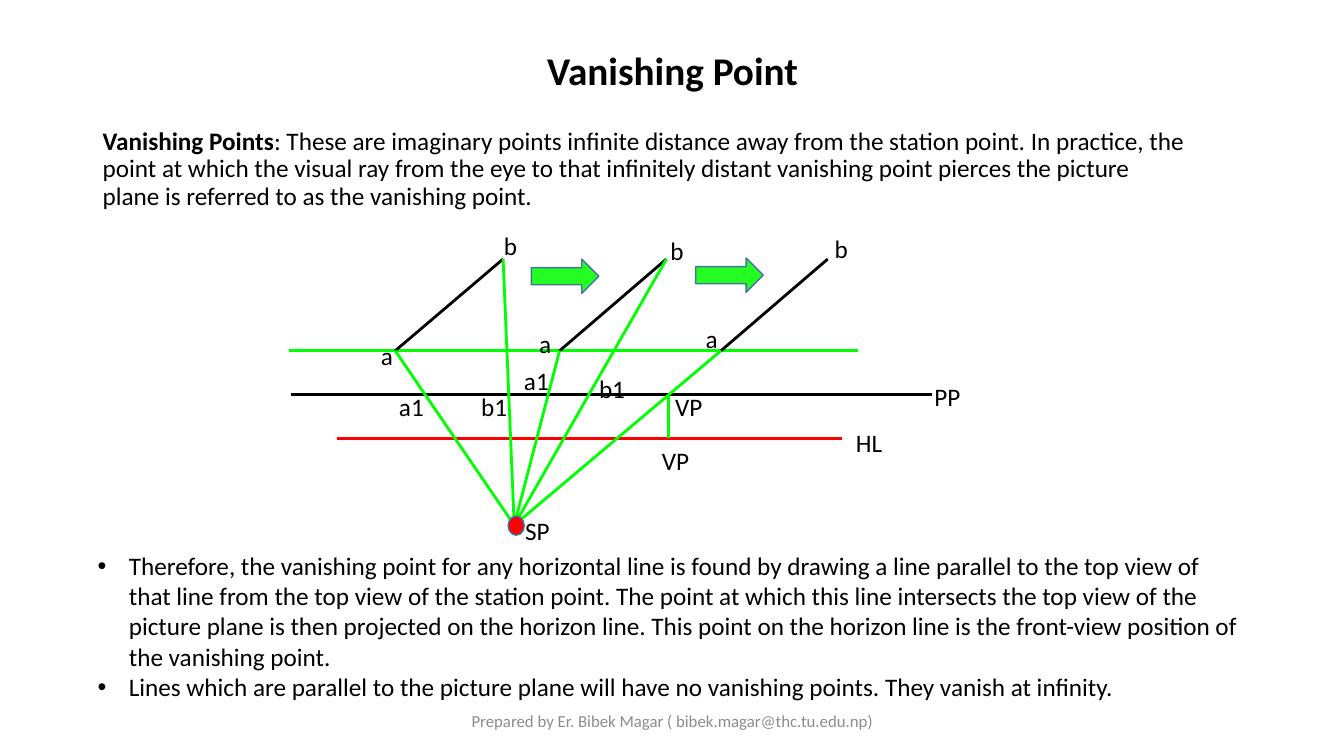
from pptx import Presentation
from pptx.dml.color import RGBColor
from pptx.enum.shapes import MSO_CONNECTOR, MSO_SHAPE
from pptx.enum.text import MSO_ANCHOR, PP_ALIGN
from pptx.oxml.ns import qn
from pptx.util import Inches, Pt
from lxml.etree import SubElement

BLACK, GREEN, RED = "000000", "00FF00", "FF0000"
LEFT, CENTER = PP_ALIGN.LEFT, PP_ALIGN.CENTER


def color(value):
    return RGBColor.from_string(value)


def add_text(box, paragraphs, size=18, ink=BLACK, align=LEFT, anchor=MSO_ANCHOR.TOP,
             spacing=None, bold=None, bullet=False):
    frame = slide.shapes.add_textbox(*map(Inches, box)).text_frame
    frame.word_wrap = True
    frame.vertical_anchor = anchor
    for index, words in enumerate(paragraphs):
        paragraph = frame.paragraphs[0] if index == 0 else frame.add_paragraph()
        paragraph.text = words
        paragraph.alignment = align
        if spacing:
            paragraph.line_spacing = spacing
        if bullet:
            properties = paragraph._p.get_or_add_pPr()
            properties.set("marL", str(Inches(0.31)))
            properties.set("indent", str(Inches(-0.31)))
            SubElement(properties, qn("a:buFont")).set("typeface", "Arial")
            SubElement(properties, qn("a:buChar")).set("char", "•")
        font = paragraph.font
        font.name, font.size, font.bold = "Calibri", Pt(size), bold
        font.color.rgb = color(ink)
    return frame


prs = Presentation()
prs.slide_width, prs.slide_height = Inches(13.33), Inches(7.5)
slide = prs.slides.add_slide(prs.slide_layouts[6])

add_text((0.92, 0, 11.5, 1.45), ["Vanishing Point"], size=28, align=CENTER,
         anchor=MSO_ANCHOR.MIDDLE, spacing=0.9, bold=True)

definition = add_text((0.92, 1.23, 11, 1.08), ["Vanishing Points"], spacing=0.9).paragraphs[0]
definition.runs[0].font.bold = True
definition.add_run().text = (
    ": These are imaginary points infinite distance away from the station point. "
    "In practice, the point at which the visual ray from the eye to that infinitely "
    "distant vanishing point pierces the picture plane is referred to as the vanishing point.")

add_text((4.42, 6.95, 4.5, 0.4), ["Prepared by Er. Bibek Magar ( bibek.magar@thc.tu.edu.np)"],
         size=12, ink="8C8C8C", align=CENTER, anchor=MSO_ANCHOR.MIDDLE)

ground_y, picture_y, horizon_y, far_y = 3.48, 3.91, 4.35, 2.57
station = (5.1, 5.21)
near_ends = [(x, ground_y) for x in (3.92, 5.55, 7.15)]
far_ends = [(x, far_y) for x in (4.99, 6.61, 8.21)]

lines = [
    ((3.34, horizon_y), (8.35, horizon_y), RED),
    ((2.89, picture_y), (9.24, picture_y), BLACK),
    ((2.87, ground_y), (8.51, ground_y), GREEN),
    ((6.63, picture_y), (6.63, horizon_y), GREEN),
]
lines += [(near, far, BLACK) for near, far in zip(near_ends, far_ends)]
lines += [(end, station, GREEN) for end in near_ends + far_ends[:2]]

for start, end, ink in lines:
    line = slide.shapes.add_connector(MSO_CONNECTOR.STRAIGHT, *map(Inches, start + end))
    line.line.color.rgb = color(ink)
    line.line.width = Pt(0)
    SubElement(line._element.spPr, qn("a:effectLst"))

for kind, box, fill in [
    (MSO_SHAPE.RIGHT_ARROW, (5.27, 2.57, 0.67, 0.34), "25FC22"),
    (MSO_SHAPE.RIGHT_ARROW, (6.9, 2.56, 0.67, 0.34), "25FC22"),
    (MSO_SHAPE.OVAL, (5.04, 5.12, 0.16, 0.19), RED),
]:
    marker = slide.shapes.add_shape(kind, *map(Inches, box))
    marker.shadow.inherit = False
    marker.fill.solid()
    marker.fill.fore_color.rgb = color(fill)
    marker.line.color.rgb = color("43739E")
    marker.line.width = Pt(1)

for label, width, align, places in [
    ("a", 0.37, LEFT, [(3.68, 3.33), (5.25, 3.21), (6.9, 3.16)]),
    ("b", 0.37, LEFT, [(4.9, 2.24), (6.55, 2.29), (8.18, 2.27)]),
    ("a1", 0.62, CENTER, [(3.77, 3.83), (5.01, 3.58)]),
    ("b1", 0.62, CENTER, [(4.59, 3.83), (5.76, 3.65)]),
    ("VP", 0.62, CENTER, [(6.52, 3.83), (6.39, 4.37)]),
    ("PP", 0.56, LEFT, [(9.17, 3.73)]),
    ("HL", 0.85, LEFT, [(8.39, 4.19)]),
    ("SP", 0.49, LEFT, [(5.11, 5.06)]),
]:
    for place in places:
        add_text((*place, width, 0.4), [label], align=align)

add_text((0.87, 5.41, 11.54, 1.92), [
    "Therefore, the vanishing point for any horizontal line is found by drawing a line "
    "parallel to the top view of that line from the top view of the station point. "
    "The point at which this line intersects the top view of the picture plane is then "
    "projected on the horizon line. This point on the horizon line is the front-view "
    "position of the vanishing point.",
    "Lines which are parallel to the picture plane will have no vanishing points. "
    "They vanish at infinity.",
], bullet=True)

prs.save("out.pptx")
